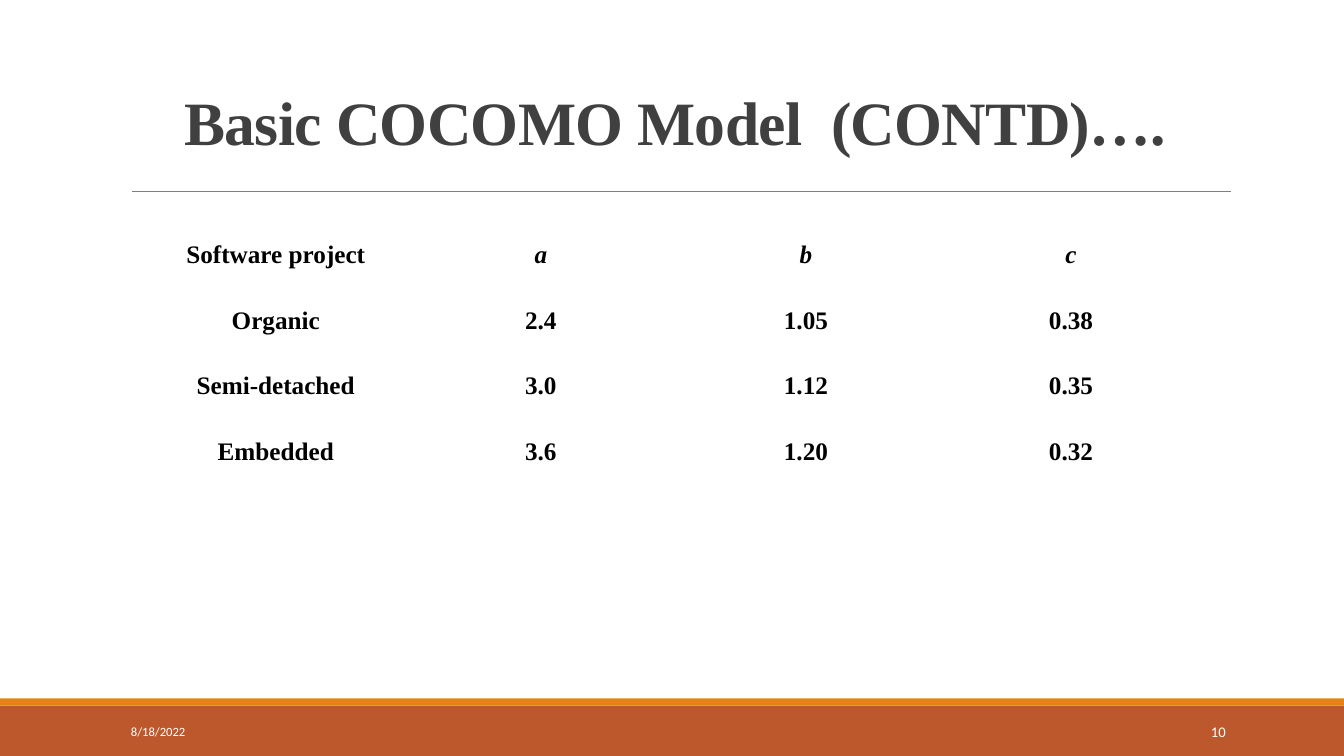
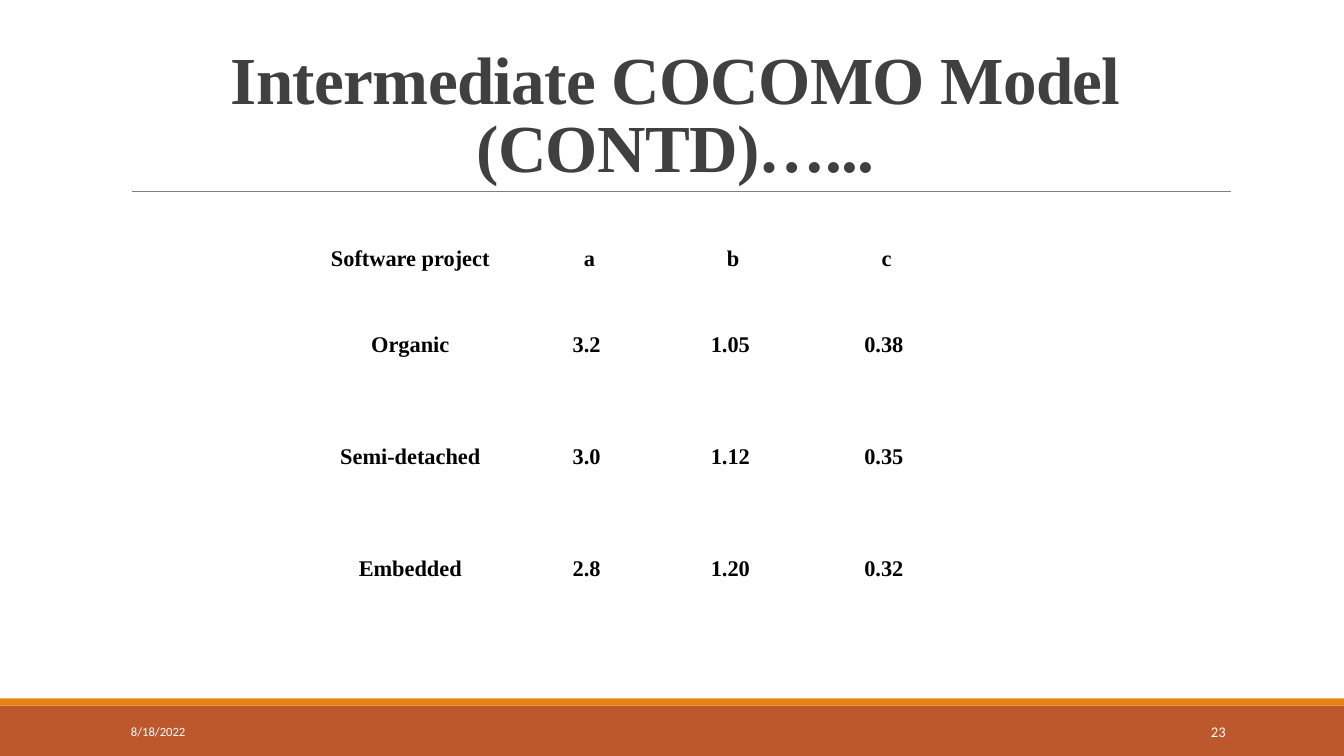
from lxml.etree import SubElement
from pptx import Presentation
from pptx.dml.color import RGBColor
from pptx.enum.shapes import MSO_CONNECTOR as Link, MSO_SHAPE as Shape
from pptx.enum.text import MSO_ANCHOR as Anchor, PP_ALIGN as Align
from pptx.oxml.ns import qn
from pptx.util import Cm, Pt

WIDE, HIGH = 33.87, 19.05
DATE = "8/18/2022"
SERIF, SANS = "Times New Roman", "Calibri"
DARK, GREY, BLACK, WHITE = "404040", "808080", "000000", "FFFFFF"
BANDS = [(17.78, 1.27, "BD582C"), (17.6, 0.18, "E48312")]

SLIDES = [
    {
        "title": "Basic COCOMO Model  (CONTD)….",
        "size": 44, "depth": 3.33, "page": "10",
        "at": (3.61, 5.61), "cols": [6.68] * 4, "rows": [1.65] * 4,
        "text": 18, "slant": True,
        "cells": [
            ("Software project", "a", "b", "c"),
            ("Organic", "2.4", "1.05", "0.38"),
            ("Semi-detached", "3.0", "1.12", "0.35"),
            ("Embedded", "3.6", "1.20", "0.32"),
        ],
    },
    {
        "title": "Intermediate COCOMO Model (CONTD)…...",
        "size": 48, "depth": 4.04, "page": "23",
        "at": (7.77, 5.77), "cols": [5.28, 3.61, 3.63, 4.11],
        "rows": [1.52] + [2.82] * 3,
        "text": 16, "slant": False,
        "cells": [
            ("Software project ", "a", "b", "c"),
            ("Organic ", "3.2 ", "1.05 ", "0.38 "),
            ("Semi-detached ", "3.0 ", "1.12 ", "0.35 "),
            ("Embedded ", "2.8 ", "1.20 ", "0.32 "),
        ],
    },
]


def paint(color):
    return RGBColor.from_string(color)


def write(frame, text, align, color, **style):
    """Fill the first paragraph with one styled run and return both."""
    para = frame.paragraphs[0]
    para.alignment = align
    run = para.add_run()
    run.text = text
    run.font.color.rgb = paint(color)
    for name, value in style.items():
        setattr(run.font, name, value)
    return para, run


def add_text(slide, area, anchor, *args, **style):
    frame = slide.shapes.add_textbox(*map(Cm, area)).text_frame
    frame.word_wrap = True
    frame.vertical_anchor = anchor
    return write(frame, *args, **style)


def add_frame(slide, page):
    """Draw the bands, the title rule and the footer."""
    for top, high, color in BANDS:
        band = slide.shapes.add_shape(
            Shape.RECTANGLE, *map(Cm, (0, top, WIDE, high)))
        band.shadow.inherit = False
        band.fill.solid()
        band.fill.fore_color.rgb = paint(color)
        band.line.fill.background()
    rule = slide.shapes.add_connector(
        Link.STRAIGHT, *map(Cm, (3.33, 4.83, 31.01, 4.83)))
    rule.line.color.rgb = paint(GREY)
    rule.line.width = Pt(0.5)
    SubElement(rule._element.spPr, qn("a:effectLst"))
    for left, wide, text, align, size in [
        (3.05, 6.86, DATE, Align.LEFT, 9),
        (27.51, 3.63, page, Align.RIGHT, 10.5),
    ]:
        add_text(slide, (left, 17.93, wide, 1.02), Anchor.MIDDLE,
                 text, align, WHITE, name=SANS, size=Pt(size))


def add_title(slide, text, size, depth):
    para, run = add_text(
        slide, (3.05, 0.79, 27.94, depth), Anchor.BOTTOM, text, Align.CENTER,
        DARK, name=SERIF, size=Pt(size), bold=True)
    para.line_spacing = 0.85
    run._r.get_or_add_rPr().set("spc", "-50")


def add_grid(slide, data):
    cols, rows = data["cols"], data["rows"]
    area = (*data["at"], sum(cols), sum(rows))
    table = slide.shapes.add_table(
        len(rows), len(cols), *map(Cm, area)).table
    table.first_row = table.horz_banding = False
    for col, wide in zip(table.columns, cols):
        col.width = Cm(wide)
    for row, high in zip(table.rows, rows):
        row.height = Cm(high)
    for y, line in enumerate(data["cells"]):
        for x, text in enumerate(line):
            cell = table.cell(y, x)
            cell.fill.background()
            cell.vertical_anchor = Anchor.MIDDLE
            write(cell.text_frame, text, Align.CENTER, BLACK, name=SERIF,
                  size=Pt(data["text"]), bold=True,
                  italic=data["slant"] and y == 0 and x > 0)


def main():
    deck = Presentation()
    deck.slide_width, deck.slide_height = Cm(WIDE), Cm(HIGH)
    for data in SLIDES:
        slide = deck.slides.add_slide(deck.slide_layouts[6])
        add_frame(slide, data["page"])
        add_title(slide, data["title"], data["size"], data["depth"])
        add_grid(slide, data)
    deck.save("out.pptx")


if __name__ == "__main__":
    main()
